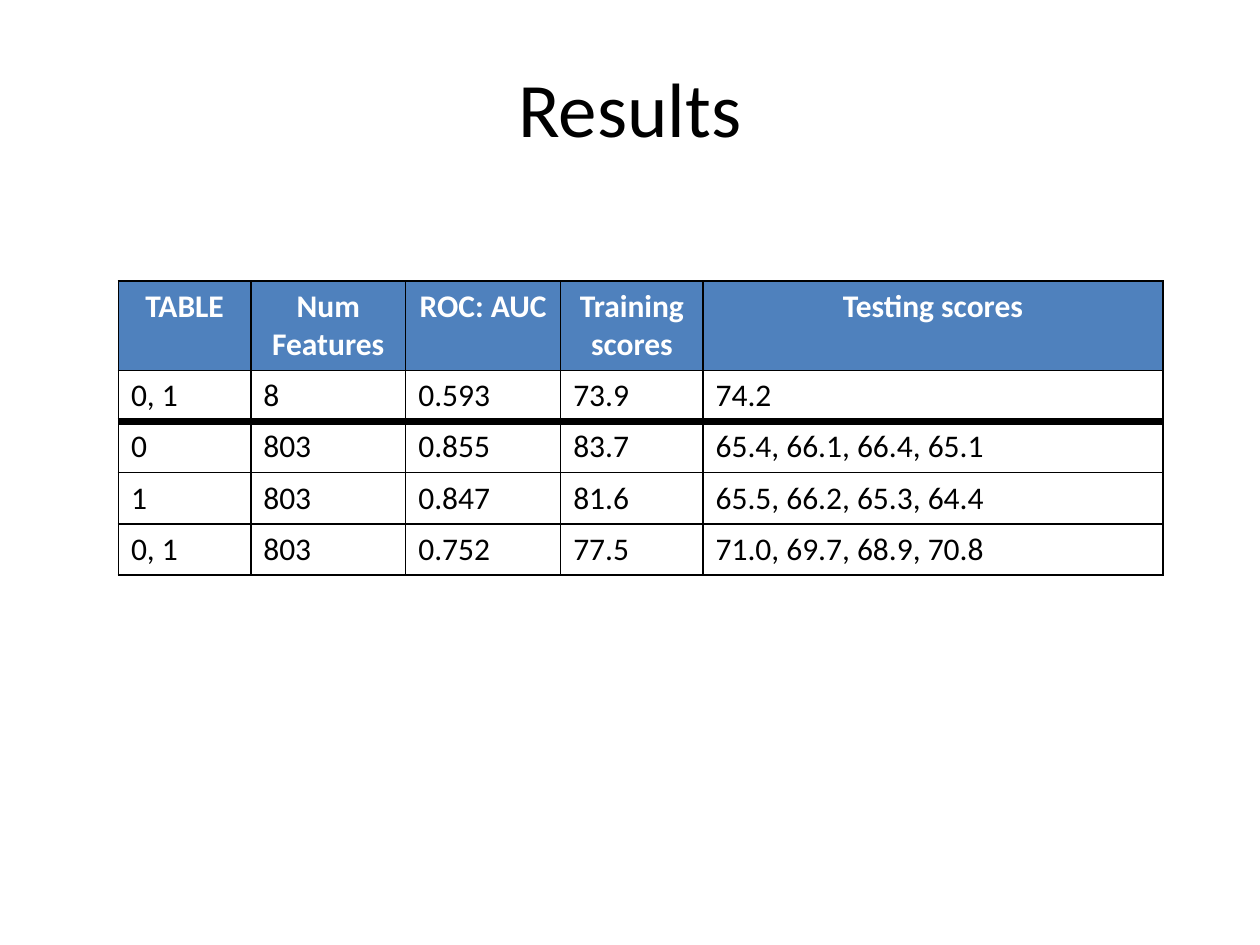
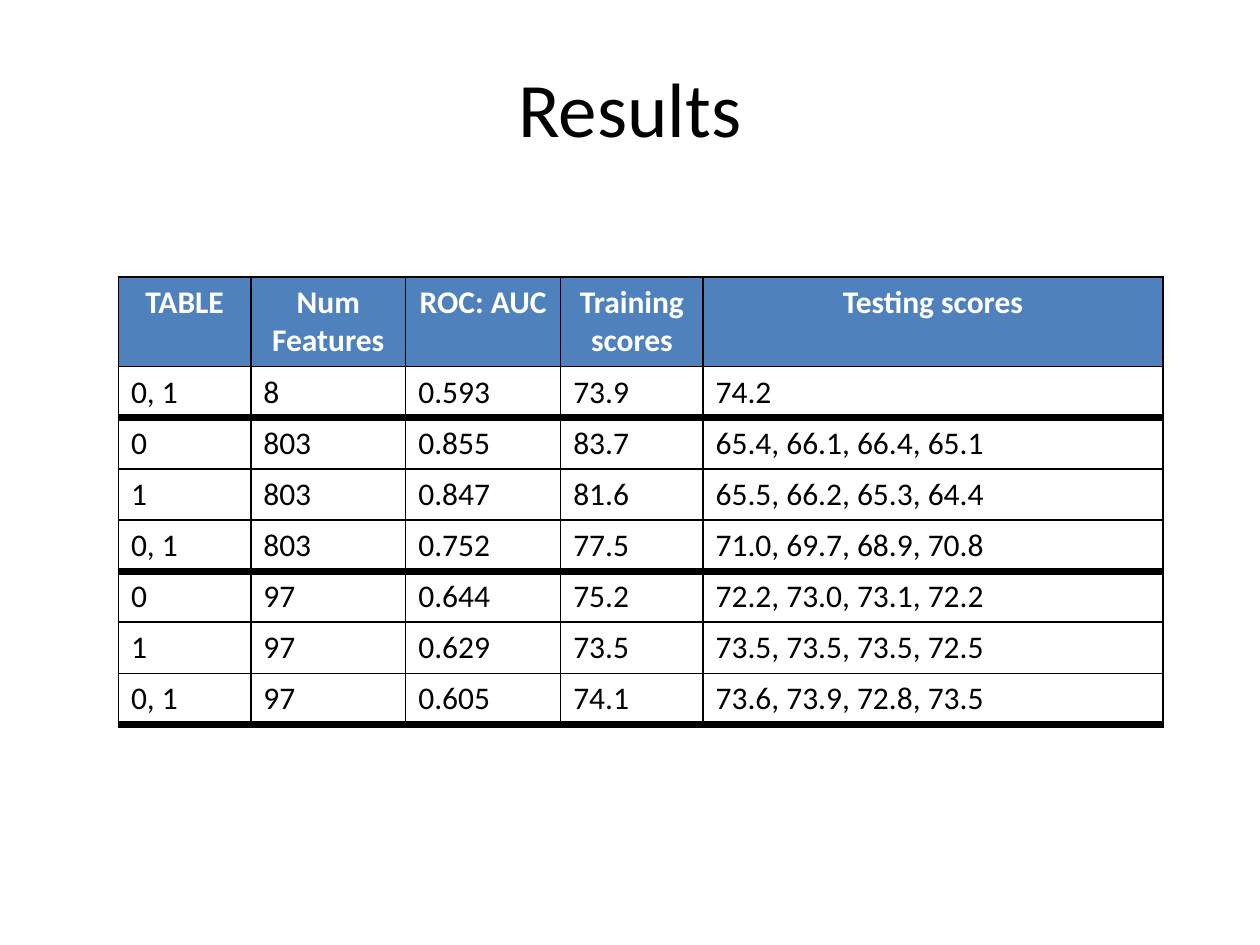
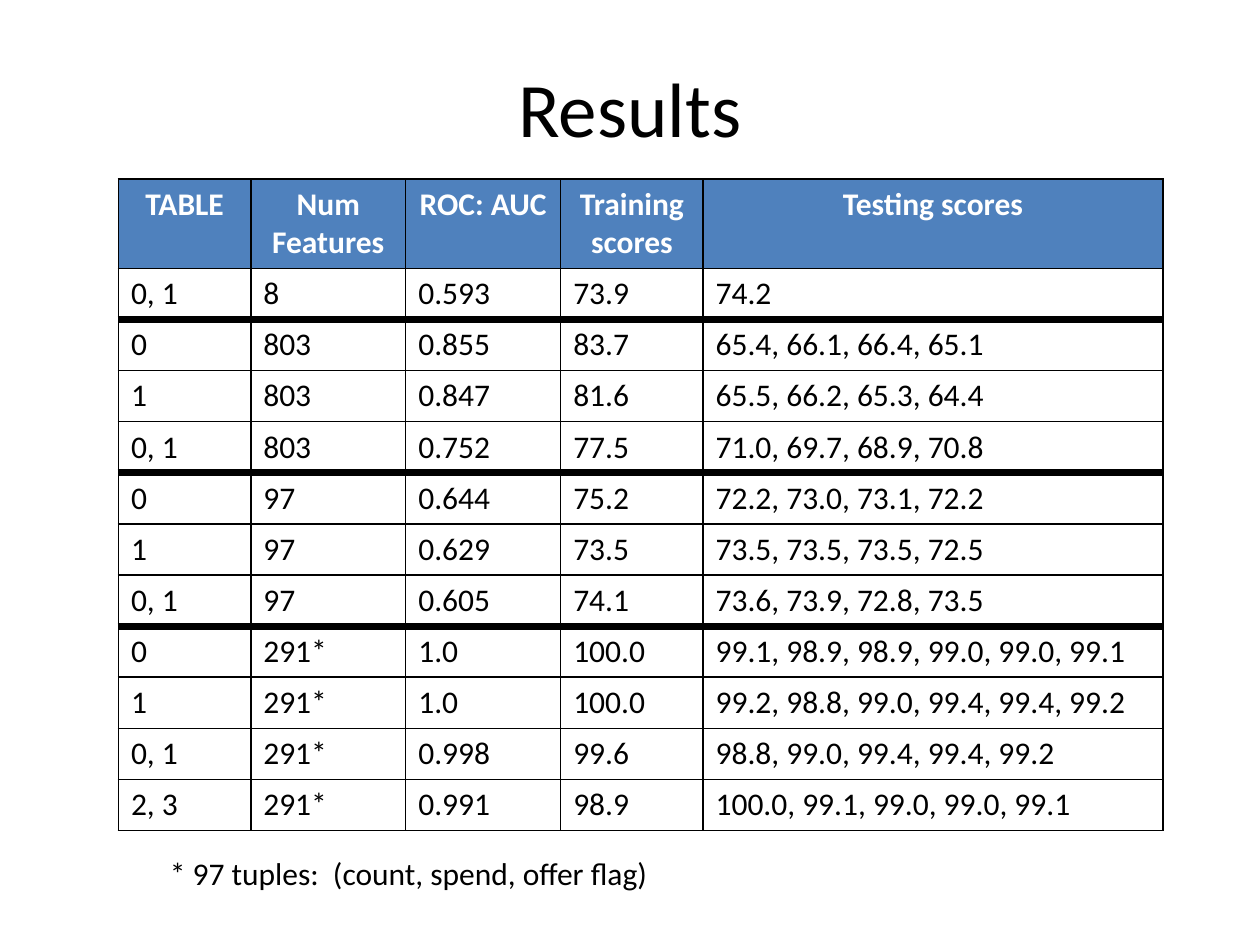
"""Build three result slides, each showing a longer table of model scores."""
import dataclasses

import lxml.etree
import pptx
import pptx.dml.color
import pptx.enum.text
import pptx.oxml.ns
import pptx.util

Inches = pptx.util.Inches
Align = pptx.enum.text.PP_ALIGN
Anchor = pptx.enum.text.MSO_ANCHOR


@dataclasses.dataclass(frozen=True)
class Theme:
    """Colours, type sizes and rule widths that all slides share."""

    font: str = "Calibri"
    ink: str = "000000"
    paper: str = "FFFFFF"
    header: str = "4F81BD"
    title_size: float = 44
    text_size: float = 18
    thin: float = 1
    thick: float = 4.5


THEME = Theme()
TITLE_BOX = (0.5, 0.22, 9, 1.25)
TABLE_LEFT = 0.94
COLUMN_WIDTHS = (1.05, 1.23, 1.23, 1.13, 3.65)
HEADER_HEIGHT = 0.7
ROW_HEIGHT = 29.2 / 72
HEADINGS = ("TABLE", "Num Features", "ROC: AUC", "Training scores", "Testing scores")
BASELINE = [("0, 1", "8", "0.593", "73.9", "74.2")]
FULL_FEATURES = [
    ("0", "803", "0.855", "83.7", "65.4, 66.1, 66.4, 65.1"),
    ("1", "803", "0.847", "81.6", "65.5, 66.2, 65.3, 64.4"),
    ("0, 1", "803", "0.752", "77.5", "71.0, 69.7, 68.9, 70.8"),
]
REDUCED_FEATURES = [
    ("0", "97", "0.644", "75.2", "72.2, 73.0, 73.1, 72.2"),
    ("1", "97", "0.629", "73.5", "73.5, 73.5, 73.5, 72.5"),
    ("0, 1", "97", "0.605", "74.1", "73.6, 73.9, 72.8, 73.5"),
]
TUPLE_FEATURES = [
    ("0", "291*", "1.0", "100.0", "99.1, 98.9, 98.9, 99.0, 99.0, 99.1"),
    ("1", "291*", "1.0", "100.0", "99.2, 98.8, 99.0, 99.4, 99.4, 99.2"),
    ("0, 1", "291*", "0.998", "99.6", "98.8, 99.0, 99.4, 99.4, 99.2"),
    ("2, 3", "291*", "0.991", "98.9", "100.0, 99.1, 99.0, 99.0, 99.1"),
]


def rgb(value):
    """Turn a hex string into a colour."""
    return pptx.dml.color.RGBColor.from_string(value)


def write(frame, text, size, color, align=Align.LEFT, bold=False):
    """Put one formatted paragraph into a text frame."""
    frame.text = text
    para = frame.paragraphs[0]
    para.alignment = align
    para.font.name = THEME.font
    para.font.size = pptx.util.Pt(size)
    para.font.bold = bold
    para.font.color.rgb = rgb(color)


def border_cell(cell, top, bottom):
    """Draw the four edges of a cell, with the given top and bottom widths."""
    properties = cell._tc.get_or_add_tcPr()
    widths = {"L": THEME.thin, "R": THEME.thin, "T": top, "B": bottom}
    for side, width in widths.items():
        line = lxml.etree.SubElement(
            properties, pptx.oxml.ns.qn(f"a:ln{side}"), w=str(pptx.util.Pt(width))
        )
        fill = lxml.etree.SubElement(line, pptx.oxml.ns.qn("a:solidFill"))
        lxml.etree.SubElement(fill, pptx.oxml.ns.qn("a:srgbClr"), val=THEME.ink)


def add_title(page, text):
    """Fill and place the title placeholder."""
    title = page.shapes.title
    title.left, title.top, title.width, title.height = map(Inches, TITLE_BOX)
    write(title.text_frame, text, THEME.title_size, THEME.ink, Align.CENTER)
    title.text_frame.vertical_anchor = Anchor.MIDDLE


def add_score_table(page, top, groups, closed):
    """Add the score table, with a thick rule between groups and below if closed."""
    rows = [HEADINGS] + [row for group in groups for row in group]
    ends = [sum(map(len, groups[:count])) for count in range(1, len(groups) + 1)]
    ruled = set(ends if closed else ends[:-1])
    table = page.shapes.add_table(
        len(rows), len(HEADINGS), Inches(TABLE_LEFT), Inches(top),
        Inches(sum(COLUMN_WIDTHS)), Inches(HEADER_HEIGHT + ROW_HEIGHT * (len(rows) - 1)),
    ).table
    for column, width in zip(table.columns, COLUMN_WIDTHS):
        column.width = Inches(width)
    for index, values in enumerate(rows):
        is_header = index == 0
        table.rows[index].height = Inches(HEADER_HEIGHT if is_header else ROW_HEIGHT)
        above, below = (
            THEME.thick if edge in ruled else THEME.thin for edge in (index - 1, index)
        )
        for cell, value in zip(table.rows[index].cells, values):
            border_cell(cell, above, below)
            if is_header:
                cell.fill.solid()
                cell.fill.fore_color.rgb = rgb(THEME.header)
                write(cell.text_frame, value, THEME.text_size, THEME.paper, Align.CENTER, True)
            else:
                cell.fill.background()
                write(cell.text_frame, value, THEME.text_size, THEME.ink)


def add_footnote(page, left, top, width, height, text):
    """Add a one-line note below the table."""
    box = page.shapes.add_textbox(*map(Inches, (left, top, width, height)))
    box.text_frame.word_wrap = False
    box.text_frame.auto_size = pptx.enum.text.MSO_AUTO_SIZE.SHAPE_TO_FIT_TEXT
    write(box.text_frame, text, THEME.text_size, THEME.ink)


def add_results_page(deck, top, groups, closed=False):
    """Add a slide with the shared title and a score table."""
    page = deck.slides.add_slide(deck.slide_layouts.get_by_name("Title Only"))
    add_title(page, "Results")
    add_score_table(page, top, groups, closed)
    return page


def main():
    """Build and save the deck."""
    deck = pptx.Presentation()
    deck.slide_width, deck.slide_height = Inches(10), Inches(7.5)
    groups = [BASELINE, FULL_FEATURES, REDUCED_FEATURES, TUPLE_FEATURES]
    add_results_page(deck, 2.23, groups[:2])
    add_results_page(deck, 2.2, groups[:3], closed=True)
    page = add_results_page(deck, 1.42, groups)
    add_footnote(page, 1.25, 6.73, 4.04, 0.4, "* 97 tuples:  (count, spend, offer flag)")
    deck.save("out.pptx")


if __name__ == "__main__":
    main()
